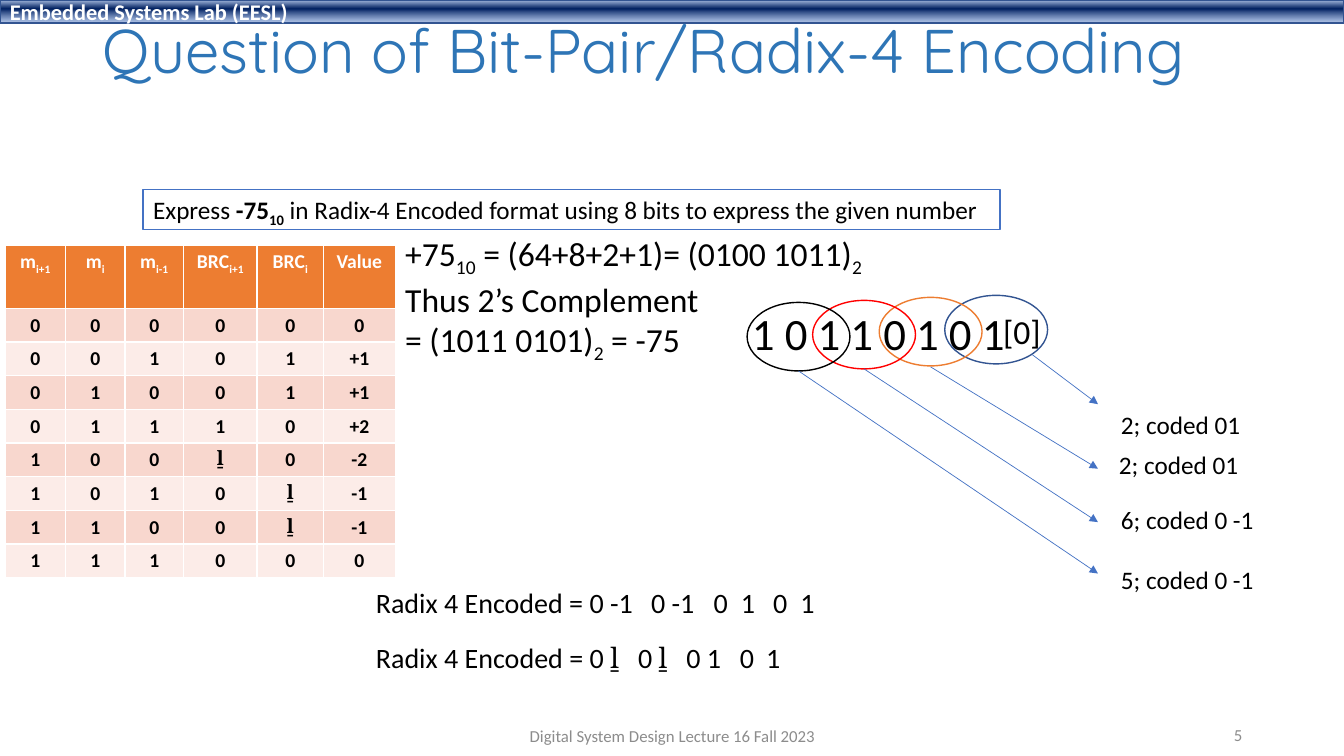
"""Build the slide on bit-pair (radix-4) encoding of -75."""
from dataclasses import dataclass
from typing import NamedTuple

from lxml import etree
from pptx import Presentation
from pptx import util as u
from pptx.dml.color import RGBColor
from pptx.enum import shapes, text
from pptx.oxml import parse_xml
from pptx.oxml.ns import nsdecls, qn

PX = 9144
BLACK, WHITE, BLUE, NAVY, ORANGE, GREY = "000000", "FFFFFF", "4472C4", "325491", "ED7D31", "8C8C8C"
LEFT, CENTER, RIGHT = text.PP_ALIGN.LEFT, text.PP_ALIGN.CENTER, text.PP_ALIGN.RIGHT


class Part(NamedTuple):
    """A stretch of text with one look."""
    words: str
    bold: bool = False
    sub: bool = False
    font: str = "Calibri"


class Box(NamedTuple):
    """Left, top, width and height in px."""
    left: int
    top: int
    width: int
    height: int


@dataclass
class Note:
    """A text box: its place, its lines of parts and its look."""
    box: Box
    lines: list[list[Part]]
    size: int
    color: str = BLACK
    align: text.PP_ALIGN = LEFT
    grows: bool = True
    tabs: tuple[int, ...] = ()
    outline: str = ""


@dataclass
class BitGroup:
    """A ringed bit triplet with the arrow to its code."""
    color: str
    exit_dx: int
    exit_dy: int
    arrow_end: int
    label_left: int
    label_top: int
    label_width: int
    code: str


BAR_DIGIT = Part("ḻ", font="Cambria")
NOTES = [
    Note(Box(442, 710, 450, 40), [[Part("Digital System Design Lecture 16 Fall 2023")]], 12, GREY, CENTER, False),
    Note(Box(942, 709, 300, 40), [[Part("5")]], 12, GREY, RIGHT, False),
    Note(Box(142, 188, 850, 40),
         [[Part("Express "), Part("-75", True), Part("10", True, True),
           Part(" in Radix-4 Encoded format using 8 bits to express the given number")]], 18, outline=BLUE),
    Note(Box(392, 226, 481, 131),
         [[Part("+75"), Part("10", sub=True), Part(" = (64+8+2+1)= (0100 1011)"), Part("2", sub=True)],
          [Part("Thus 2’s Complement")],
          [Part("= (1011 0101)"), Part("2", sub=True), Part(" = -75")]], 24),
    Note(Box(736, 298, 274, 64), [[Part("1 0 1 1 0 1 0 1")]], 32),
    Note(Box(985, 304, 58, 50), [[Part("[0]")]], 24),
    Note(Box(363, 576, 466, 44), [[Part("Radix 4 Encoded = 0 -1\t0 -1\t0\t1\t0\t1")]], 20,
         tabs=(273, 335, 362, 394, 421)),
    Note(Box(363, 631, 429, 44),
         [[Part("Radix 4 Encoded = 0 "), BAR_DIGIT, Part("\t0 "), BAR_DIGIT, Part("\t0 1\t0\t1")]], 20,
         tabs=(260, 308, 361, 387)),
]
GROUPS = [
    BitGroup(NAVY, 87, 59, 401, 1102, 401, 140, "2; coded 01"),
    BitGroup(ORANGE, 51, 69, 465, 1100, 441, 140, "2; coded 01"),
    BitGroup("FF0000", 51, 68, 518, 1102, 495, 154, "6; coded 0 -1"),
    BitGroup(BLACK, 51, 68, 569, 1102, 555, 154, "5; coded 0 -1"),
]
COLUMNS = {"m_i+1": 60, "m_i": 59, "m_i-1": 58, "BRC_i+1": 73, "BRC_i": 66, "Value": 71}
RECODING = ["0 0 0 0 0 0", "0 0 1 0 1 +1", "0 1 0 0 1 +1", "0 1 1 1 0 +2",
            "1 0 0 ḻ 0 -2", "1 0 1 0 ḻ -1", "1 1 0 0 ḻ -1", "1 1 1 0 0 0"]


def rgb(color: str) -> RGBColor:
    """Turn a hex string into a colour."""
    return RGBColor.from_string(color)


def emu(box: Box) -> list[int]:
    """Scale a box from px to EMU."""
    return [length * PX for length in box]


def write(paragraph, parts: list[Part], size: int, color: str, align=LEFT) -> None:
    """Fill a paragraph with formatted parts."""
    paragraph.alignment = align
    for part in parts:
        run = paragraph.add_run()
        run.text = part.words
        run.font.name, run.font.size, run.font.bold = part.font, u.Pt(size), part.bold
        run.font.color.rgb = rgb(color)
        if part.sub:
            run.font._element.set("baseline", "-25000")


def add_note(slide, note: Note) -> None:
    """Draw a text box."""
    area = slide.shapes.add_textbox(*emu(note.box))
    frame = area.text_frame
    frame.word_wrap = not note.grows or bool(note.tabs)
    if note.grows:
        frame.auto_size = text.MSO_AUTO_SIZE.SHAPE_TO_FIT_TEXT
    else:
        frame.vertical_anchor = text.MSO_ANCHOR.MIDDLE
    if note.outline:
        area.fill.solid()
        area.fill.fore_color.rgb = rgb(WHITE)
        area.line.color.rgb, area.line.width = rgb(note.outline), u.Pt(1)
    for index, parts in enumerate(note.lines):
        paragraph = frame.add_paragraph() if index else frame.paragraphs[0]
        if note.tabs:
            stops = etree.SubElement(paragraph._p.get_or_add_pPr(), qn("a:tabLst"))
            for stop in note.tabs:
                etree.SubElement(stops, qn("a:tab"), pos=str(stop * PX), algn="l")
        write(paragraph, parts, note.size, note.color, note.align)


def add_lab_bar(slide) -> None:
    """Draw the gradient bar with the lab's name behind the title."""
    bar = slide.shapes.add_shape(shapes.MSO_SHAPE.RECTANGLE, *emu(Box(0, 0, 1333, 23)))
    bar.shadow.inherit = False
    bar.line.color.rgb, bar.line.width = rgb(NAVY), u.Pt(1)
    gradient = parse_xml(
        f'<a:gradFill {nsdecls("a")} rotWithShape="1"><a:gsLst>'
        '<a:gs pos="2000"><a:srgbClr val="ABC0E4"/></a:gs>'
        '<a:gs pos="38000"><a:srgbClr val="002060"/></a:gs>'
        '<a:gs pos="93000"><a:srgbClr val="7E9ED6"><a:alpha val="64000"/></a:srgbClr></a:gs>'
        '</a:gsLst><a:lin ang="5400000" scaled="0"/></a:gradFill>')
    bar.element.spPr.find(qn("a:prstGeom")).addnext(gradient)
    bar.text_frame.vertical_anchor = text.MSO_ANCHOR.MIDDLE
    write(bar.text_frame.paragraphs[0], [Part("Embedded Systems Lab (EESL)", True)], 16, WHITE)
    slide.shapes.element.insert(2, bar.element)


def add_title(slide) -> None:
    """Place and format the title."""
    title = slide.shapes.title
    title.left, title.top, title.width, title.height = emu(Box(92, 15, 1150, 77))
    title.text_frame.vertical_anchor = text.MSO_ANCHOR.MIDDLE
    paragraph = title.text_frame.paragraphs[0]
    paragraph.line_spacing = 0.9
    write(paragraph, [Part("Question of Bit-Pair/Radix-4 Encoding", font="Quicksand")], 44, "2E75B6")


def add_group(slide, index: int, group: BitGroup) -> None:
    """Ring a triplet and lead an arrow to its code."""
    left, top = 937 - round(index * 65.33), 293 + round(index * 2.33)
    ring = slide.shapes.add_shape(shapes.MSO_SHAPE.OVAL, *emu(Box(left, top, 102, 68)))
    ring.shadow.inherit = False
    ring.fill.background()
    ring.line.color.rgb, ring.line.width = rgb(group.color), u.Pt(1)
    ends = Box(left + group.exit_dx, top + group.exit_dy, 1089, group.arrow_end)
    arrow = slide.shapes.add_connector(shapes.MSO_CONNECTOR.STRAIGHT, *emu(ends))
    arrow.line.color.rgb, arrow.line.width = rgb(BLUE), u.Pt(0.5)
    properties = arrow.element.spPr
    etree.SubElement(properties.find(qn("a:ln")), qn("a:tailEnd"), type="triangle")
    etree.SubElement(properties, qn("a:effectLst"))
    add_note(slide, Note(Box(group.label_left, group.label_top, group.label_width, 40), [[Part(group.code)]], 18))


def add_recoding_table(slide) -> None:
    """Draw the bit-pair recoding table."""
    frame = slide.shapes.add_table(len(RECODING) + 1, len(COLUMNS), *emu(Box(5, 243, 387, 327)))
    table = frame.table
    for column, width in zip(table.columns, COLUMNS.values()):
        column.width = width * PX
    for row_index, values in enumerate([list(COLUMNS)] + [row.split() for row in RECODING]):
        table.rows[row_index].height = (33 if row_index else 63) * PX
        shade = ("FCECE8", "F8D7CE")[row_index % 2] if row_index else ORANGE
        for column_index, value in enumerate(values):
            cell = table.cell(row_index, column_index)
            cell.fill.solid()
            cell.fill.fore_color.rgb = rgb(shade)
            base, _, subscript = value.partition("_")
            parts = [Part(base, True, font="Cambria" if base == "ḻ" else "Calibri")]
            if subscript:
                parts.append(Part(subscript, True, True))
            write(cell.text_frame.paragraphs[0], parts, 14, BLACK if row_index else WHITE, CENTER)


def main() -> None:
    """Assemble and save the slide."""
    deck = Presentation()
    deck.slide_width, deck.slide_height = u.Inches(13.33), u.Inches(7.5)
    slide = deck.slides.add_slide(deck.slide_layouts[5])
    add_lab_bar(slide)
    add_title(slide)
    for note in NOTES:
        add_note(slide, note)
    for index, group in enumerate(GROUPS):
        add_group(slide, index, group)
    add_recoding_table(slide)
    deck.save("out.pptx")


if __name__ == "__main__":
    main()
